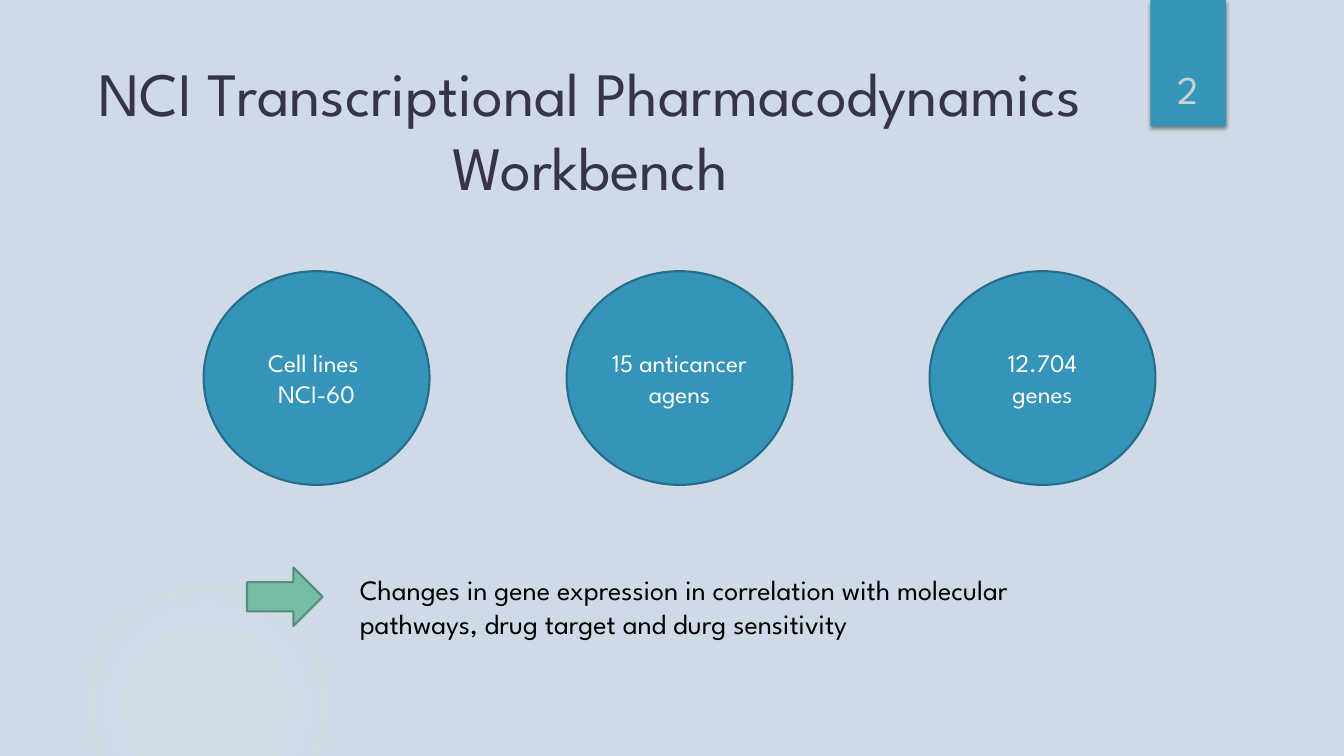
from lxml import etree
from pptx import Presentation
from pptx.dml.color import RGBColor
from pptx.enum.shapes import MSO_SHAPE
from pptx.enum.text import MSO_ANCHOR, PP_ALIGN
from pptx.oxml import parse_xml
from pptx.oxml.ns import nsdecls, qn
from pptx.util import Inches, Pt

OVAL, RECTANGLE, ARROW = MSO_SHAPE.OVAL, MSO_SHAPE.RECTANGLE, MSO_SHAPE.RIGHT_ARROW
TOP, MIDDLE, BOTTOM = MSO_ANCHOR.TOP, MSO_ANCHOR.MIDDLE, MSO_ANCHOR.BOTTOM
LEFT, CENTER = PP_ALIGN.LEFT, PP_ALIGN.CENTER

FONT = "League Spartan"
BACKGROUND = RGBColor(0xCE, 0xDB, 0xE6)
BLUE = RGBColor(0x34, 0x94, 0xBA)
DARK_BLUE = RGBColor(0x26, 0x6D, 0x8A)
GREEN = RGBColor(0x75, 0xBD, 0xA7)
DARK_GREEN = RGBColor(0x57, 0x8C, 0x7C)
TITLE_COLOR = RGBColor(0x37, 0x35, 0x45)
NUMBER_COLOR = RGBColor(0xCA, 0xD1, 0xD2)
WHITE = RGBColor(0xFF, 0xFF, 0xFF)
BLACK = RGBColor(0x00, 0x00, 0x00)

prs = Presentation()
prs.slide_width, prs.slide_height = Inches(13.33), Inches(7.5)
slide = prs.slides.add_slide(prs.slide_layouts[6])
slide.background.fill.solid()
slide.background.fill.fore_color.rgb = BACKGROUND


def add_figure(kind, box, fill, outline=None):
    figure = slide.shapes.add_shape(kind, *map(Inches, box))
    figure.shadow.inherit = False
    figure.fill.solid()
    figure.fill.fore_color.rgb = fill
    if outline is None:
        figure.line.fill.background()
    else:
        figure.line.color.rgb = outline
        figure.line.width = Pt(1.5)
    return figure


def write(shape, text, size, color, align=CENTER, anchor=TOP):
    frame = shape.text_frame
    frame.word_wrap = True
    frame.vertical_anchor = anchor
    frame.text = text
    for paragraph in frame.paragraphs:
        paragraph.alignment = align
        for run in paragraph.runs:
            run.font.name = FONT
            run.font.size = Pt(size)
            run.font.color.rgb = color


# Faint radial glow in the lower left corner
glow = add_figure(OVAL, (0.52, 5.46, 3.08, 3.08), BACKGROUND)
stops = "".join(
    f'<a:gs pos="{position * 1000}"><a:srgbClr val="EBF1F5">'
    f'<a:alpha val="{opacity * 1000}"/></a:srgbClr></a:gs>'
    for position, opacity in [(0, 7), (36, 6), (69, 0)]
)
gradient = parse_xml(
    f'<a:gradFill {nsdecls("a")}><a:gsLst>{stops}</a:gsLst><a:path path="circle">'
    '<a:fillToRect l="50000" t="50000" r="50000" b="50000"/></a:path></a:gradFill>'
)
glow_properties = glow.element.spPr
glow_properties.replace(glow_properties.find(qn("a:solidFill")), gradient)

# Page number tab with a soft shadow below
tab = add_figure(RECTANGLE, (11.41, 0, 0.75, 1.25), BLUE)
shadow = etree.SubElement(
    tab.element.spPr.find(qn("a:effectLst")), qn("a:outerShdw"),
    blurRad=str(Pt(3)), dist=str(Pt(2)), dir="5400000", rotWithShape="0",
)
shadow_color = etree.SubElement(shadow, qn("a:srgbClr"), val="000000")
etree.SubElement(shadow_color, qn("a:alpha"), val="45000")

captions = [
    ((0.71, 0.5, 10.29, 1.53), "NCI Transcriptional Pharmacodynamics Workbench",
     44, TITLE_COLOR, CENTER, TOP),
    ((11.32, 0.32, 0.92, 0.84), "2", 28, NUMBER_COLOR, CENTER, BOTTOM),
    ((3.47, 5.63, 7.85, 0.77),
     "Changes in gene expression in correlation with molecular pathways, "
     "drug target and durg sensitivity", 20, BLACK, LEFT, TOP),
]
for box, *caption in captions:
    write(slide.shapes.add_textbox(*map(Inches, box)), *caption)

data_sources = ["Cell lines \nNCI-60", "15 anticancer agens", "12.704\ngenes"]
for column, source in enumerate(data_sources):
    circle = add_figure(OVAL, (2.02 + 3.6 * column, 2.69, 2.24, 2.12), BLUE, DARK_BLUE)
    write(circle, source, 18, WHITE, anchor=MIDDLE)

add_figure(ARROW, (2.45, 5.63, 0.75, 0.58), GREEN, DARK_GREEN)

prs.save("out.pptx")
